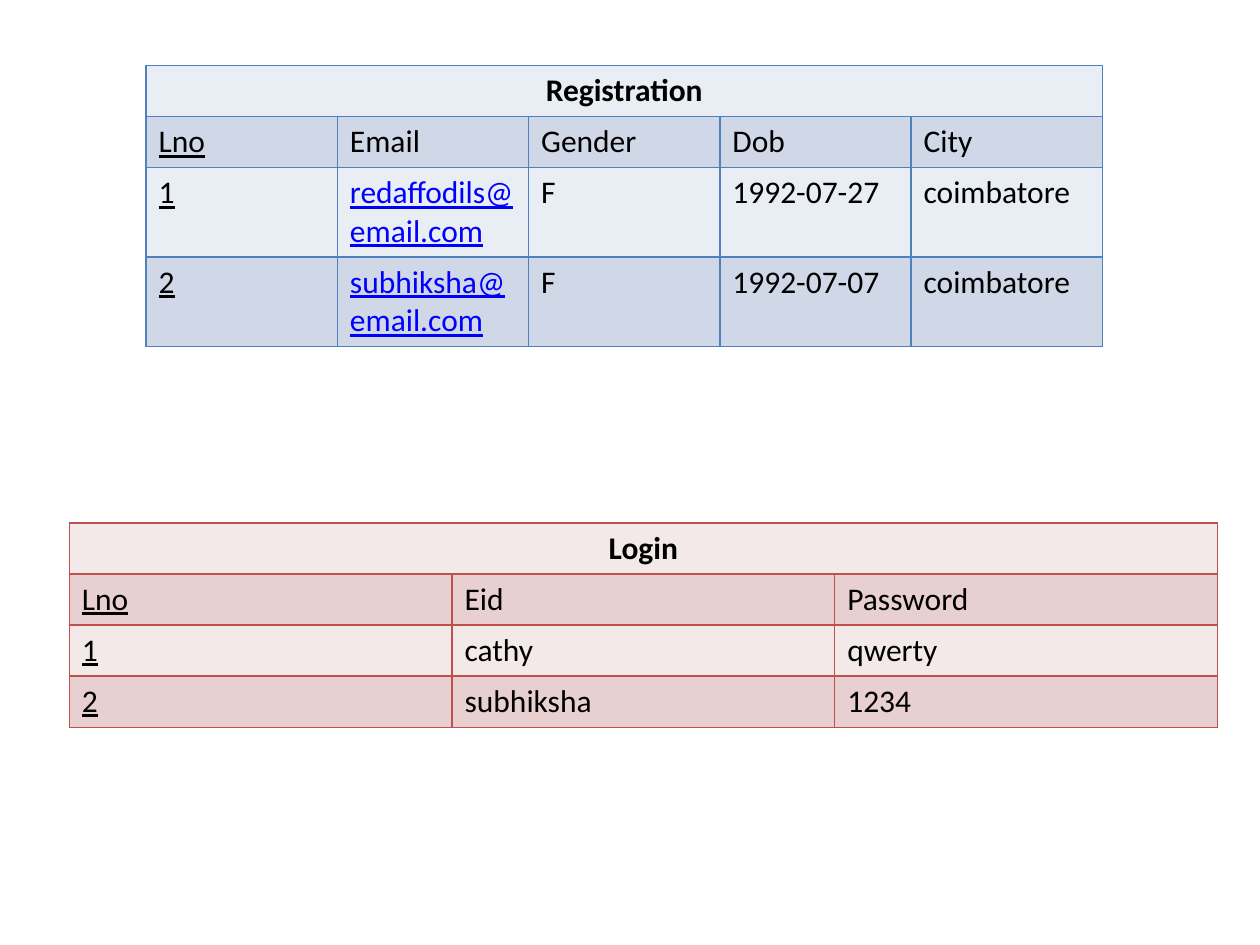
import pptx
import pptx.dml.color
import pptx.enum.text
import pptx.oxml
import pptx.oxml.ns
import pptx.util

Pt = pptx.util.Pt

ROW_HEIGHT = 29.2
TABLES = [
    {
        "title": "Registration",
        "rows": [
            ["Lno", "Email", "Gender", "Dob", "City"],
            ["1", "redaffodils@email.com", "F", "1992-07-27", "coimbatore"],
            ["2", "subhiksha@email.com", "F", "1992-07-07", "coimbatore"],
        ],
        "left": 83.5, "top": 37.4, "column_width": 109.3,
        "border": "4F81BD", "bands": ("E9EDF4", "D0D8E8"),
    },
    {
        "title": "Login",
        "rows": [
            ["Lno", "Eid", "Password"],
            ["1", "cathy", "qwerty"],
            ["2", "subhiksha", "1234"],
        ],
        "left": 39.6, "top": 298.8, "column_width": 218.7,
        "border": "C0504D", "bands": ("F4E9E9", "E8D0D0"),
    },
]


def color(value):
    return pptx.dml.color.RGBColor.from_string(value)


def set_borders(cell, value):
    properties = cell._tc.get_or_add_tcPr()
    for position, side in enumerate(("lnL", "lnR", "lnT", "lnB")):
        line = pptx.oxml.parse_xml(
            f'<a:{side} {pptx.oxml.ns.nsdecls("a")} w="{Pt(1)}"><a:solidFill>'
            f'<a:srgbClr val="{value}"/></a:solidFill></a:{side}>')
        properties.insert(position, line)


def format_cell(cell, fill, border):
    cell.fill.solid()
    cell.fill.fore_color.rgb = color(fill)
    set_borders(cell, border)


def write_cell(cell, text, bold=False, underline=False, text_color="000000"):
    cell.text_frame.text = text
    font = cell.text_frame.paragraphs[0].runs[0].font
    font.name = "Calibri"
    font.size = Pt(18)
    font.bold = bold
    font.underline = underline
    font.color.rgb = color(text_color)


def add_data_table(slide, data):
    rows = data["rows"]
    row_count, column_count = len(rows) + 1, len(rows[0])
    table = slide.shapes.add_table(
        row_count, column_count, Pt(data["left"]), Pt(data["top"]),
        Pt(column_count * data["column_width"]), Pt(row_count * ROW_HEIGHT)).table
    for column in table.columns:
        column.width = Pt(data["column_width"])
    for row_index, row in enumerate(table.rows):
        row.height = Pt(ROW_HEIGHT)
        for cell in row.cells:
            format_cell(cell, data["bands"][row_index % 2], data["border"])

    title_cell = table.cell(0, 0)
    title_cell.merge(table.cell(0, column_count - 1))
    write_cell(title_cell, data["title"], bold=True)
    title_cell.text_frame.paragraphs[0].alignment = pptx.enum.text.PP_ALIGN.CENTER

    for row_index, values in enumerate(rows, start=1):
        for column_index, text in enumerate(values):
            is_email = "@" in text
            write_cell(table.cell(row_index, column_index), text,
                       underline=column_index == 0 or is_email,
                       text_color="0000FF" if is_email else "000000")


def main():
    presentation = pptx.Presentation()
    presentation.slide_width = Pt(720)
    presentation.slide_height = Pt(540)
    slide = presentation.slides.add_slide(presentation.slide_layouts[6])
    for data in TABLES:
        add_data_table(slide, data)
    presentation.save("out.pptx")


if __name__ == "__main__":
    main()
